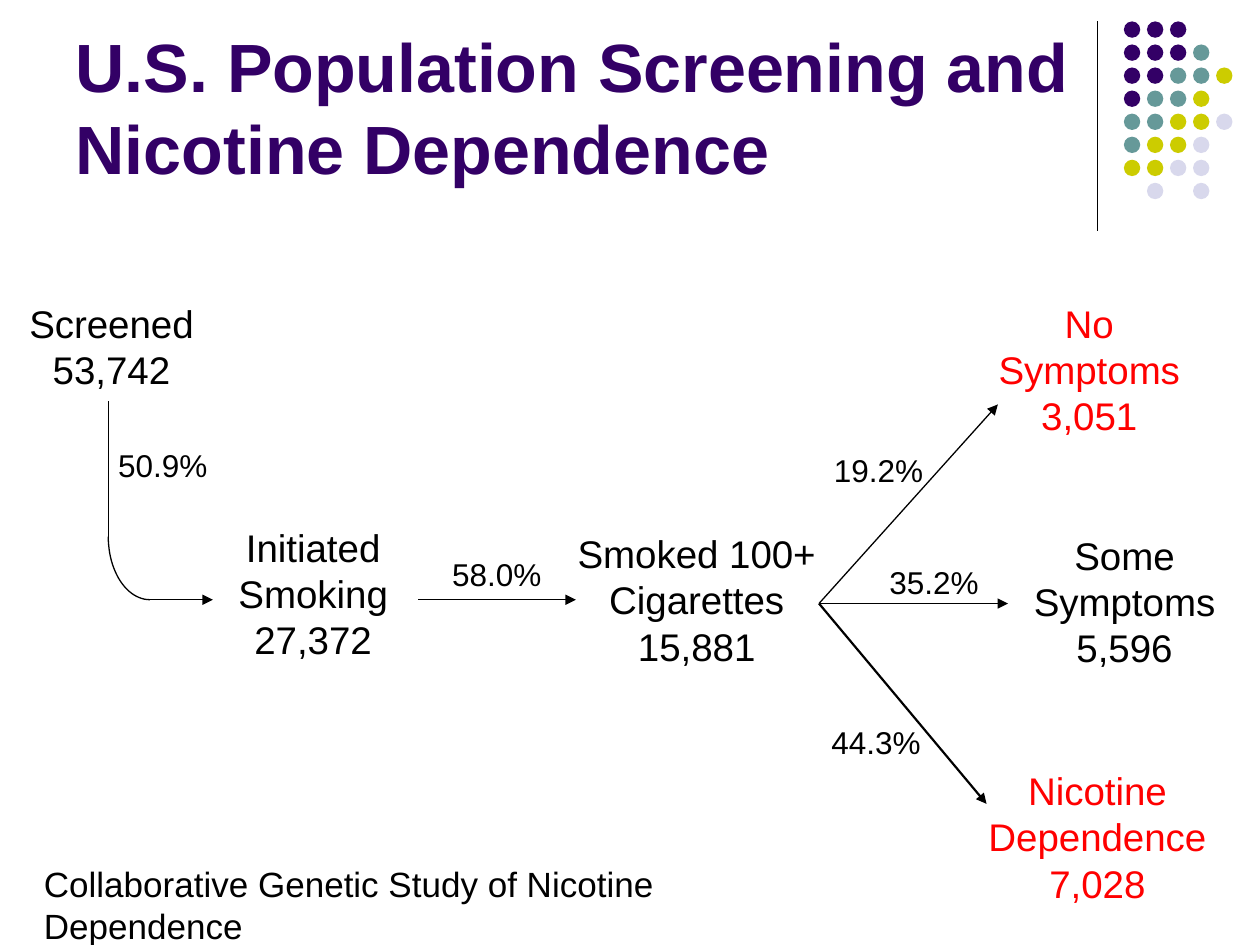
from dataclasses import dataclass
from math import cos, pi, sin

from lxml import etree
from pptx import Presentation
from pptx.dml.color import RGBColor
from pptx.enum.shapes import MSO_CONNECTOR, MSO_SHAPE
from pptx.enum.text import MSO_ANCHOR, MSO_AUTO_SIZE, PP_ALIGN
from pptx.oxml.ns import qn
from pptx.util import Inches, Pt

STRAIGHT = MSO_CONNECTOR.STRAIGHT
OVAL = MSO_SHAPE.OVAL
MIDDLE = MSO_ANCHOR.MIDDLE
NO_FIT = MSO_AUTO_SIZE.NONE
LEFT, CENTER = PP_ALIGN.LEFT, PP_ALIGN.CENTER


@dataclass(frozen=True)
class Theme:
    """Colours, font and type sizes of the slide."""
    font: str = "Arial"
    ink: str = "000000"
    alert: str = "FF0000"
    plum: str = "330066"
    teal: str = "669999"
    lime: str = "CCCC00"
    mist: str = "D8D8EC"
    title: int = 39
    node: int = 22
    note: int = 20
    rate: int = 18


@dataclass(frozen=True)
class Label:
    """A text box with its place and look."""
    text: str
    box: tuple[float, float, float, float]
    size: int
    color: str = "000000"
    align: PP_ALIGN = LEFT
    wrap: bool = True
    inset: float = 0.1


@dataclass(frozen=True)
class Line:
    """A straight line, with an arrowhead at its end if wanted."""
    start: tuple[float, float]
    end: tuple[float, float]
    width: float = 0.75
    arrow: bool = True


THEME = Theme()
FORK = (6.5, 4.79)
BEND = (0.86, 4.26, 0.33, 0.5)
RULE = Line((8.71, 0.17), (8.71, 1.83), arrow=False)
DOTS = ("PPP", "PPPT", "PPTTL", "PTTL", "TTLLM", "TLLM", "LLMM", " M M")
TONES = {"P": THEME.plum, "T": THEME.teal, "L": THEME.lime, "M": THEME.mist}

NODES = [
    Label(text, box, THEME.node, color, CENTER, False)
    for text, box, color in (
        ("Screened\n53,742", (0.11, 2.33, 1.55, 0.83), THEME.ink),
        ("Initiated\nSmoking\n27,372", (1.79, 4.11, 1.39, 1.2), THEME.ink),
        ("Smoked 100+\nCigarettes\n15,881", (4.48, 4.16, 2.1, 1.2), THEME.ink),
        ("No\nSymptoms\n3,051", (7.82, 2.33, 1.65, 1.2), THEME.alert),
        ("Some\nSymptoms\n5,596", (8.1, 4.17, 1.65, 1.2), THEME.ink),
        ("Nicotine\nDependence\n7,028", (7.74, 6.04, 1.94, 1.2), THEME.alert),
    )
]
RATES = [
    Label(text, (left, top, 0.93, 0.4), THEME.rate)
    for text, left, top in (
        ("50.9%", 0.84, 3.49),
        ("58.0%", 3.49, 4.36),
        ("19.2%", 6.52, 3.53),
        ("35.2%", 6.96, 4.42),
        ("44.3%", 6.5, 5.69),
    )
]
NOTE = Label("Collaborative Genetic Study of Nicotine Dependence",
             (0.25, 6.8, 6.69, 0.43), THEME.note, inset=0.4)
LINES = [
    Line((0.86, 4.26), (0.86, 3.18), arrow=False),
    Line((1.19, 4.76), (1.69, 4.76)),
    Line((3.32, 4.76), (4.57, 4.76)),
    Line(FORK, (7.92, 3.21)),
    Line(FORK, (8, 4.79)),
    Line(FORK, (7.83, 6.38), 1.25),
]


def style(frame, size: int, color: str, align: PP_ALIGN, bold: bool = False) -> None:
    """Format every run of a text frame."""
    for para in frame.paragraphs:
        para.alignment = align
        for run in para.runs:
            run.font.name = THEME.font
            run.font.size = Pt(size)
            run.font.bold = bold
            run.font.color.rgb = RGBColor.from_string(color)


def add_title(slide, text: str) -> None:
    """Fill and place the title placeholder."""
    title = slide.shapes.title
    title.left, title.top, title.width, title.height = map(Inches, (0.5, 0.13, 8.25, 1.42))
    frame = title.text_frame
    frame.text = text
    frame.auto_size = NO_FIT
    frame.vertical_anchor = MIDDLE
    style(frame, THEME.title, THEME.plum, LEFT, True)


def add_label(slide, label: Label) -> None:
    """Draw one text box."""
    frame = slide.shapes.add_textbox(*map(Inches, label.box)).text_frame
    frame.text = label.text
    frame.word_wrap = label.wrap
    frame.margin_right = Inches(label.inset)
    style(frame, label.size, label.color, label.align)


def add_line(slide, line: Line) -> None:
    """Draw one line or arrow."""
    shape = slide.shapes.add_connector(STRAIGHT, *map(Inches, line.start + line.end))
    shape.line.width = Pt(line.width)
    shape.line.color.rgb = RGBColor.from_string(THEME.ink)
    if line.arrow:
        etree.SubElement(shape.line._get_or_add_ln(), qn("a:tailEnd"), type="triangle")
    etree.SubElement(shape._element.spPr, qn("a:effectLst"))


def add_bend(slide, steps: int = 24) -> None:
    """Draw the quarter ellipse that joins the first two lines."""
    left, top, width, height = BEND
    turns = [pi / 2 * step / steps for step in range(steps + 1)]
    points = [(Inches(left + width * (1 - cos(turn))), Inches(top + height * sin(turn)))
              for turn in turns]
    path = slide.shapes.build_freeform(*points[0])
    path.add_line_segments(points[1:], close=False)
    shape = path.convert_to_shape()
    shape.shadow.inherit = False
    shape.fill.background()
    shape.line.width = Pt(0.75)
    shape.line.color.rgb = RGBColor.from_string(THEME.ink)


def add_dots(slide, left: float = 8.92, top: float = 0.17,
             pitch: float = 0.183, size: float = 0.13) -> None:
    """Draw the grid of coloured dots."""
    for row, tones in enumerate(DOTS):
        for col, tone in enumerate(tones):
            if tone in TONES:
                box = (left + col * pitch, top + row * pitch, size, size)
                dot = slide.shapes.add_shape(OVAL, *map(Inches, box))
                dot.shadow.inherit = False
                dot.fill.solid()
                dot.fill.fore_color.rgb = RGBColor.from_string(TONES[tone])
                dot.line.fill.background()


def main() -> None:
    """Build the slide and save it."""
    deck = Presentation()
    deck.slide_width, deck.slide_height = Inches(10), Inches(7.5)
    slide = deck.slides.add_slide(deck.slide_layouts[5])
    add_line(slide, RULE)
    add_dots(slide)
    add_title(slide, "U.S. Population Screening and\vNicotine Dependence")
    for line in LINES:
        add_line(slide, line)
    add_bend(slide)
    for label in [*NODES, *RATES, NOTE]:
        add_label(slide, label)
    deck.save("out.pptx")


if __name__ == "__main__":
    main()
